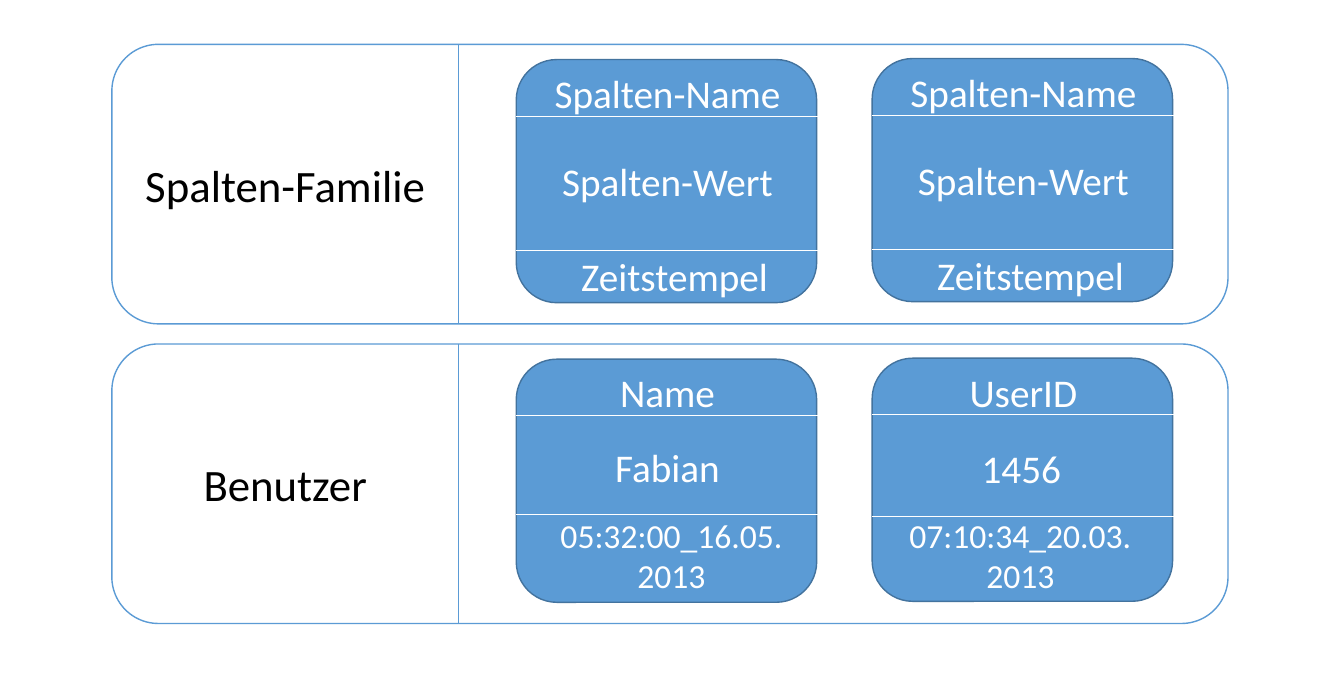
from dataclasses import dataclass
from lxml.etree import SubElement
from pptx import Presentation
from pptx.dml.color import RGBColor
from pptx.enum.shapes import MSO_CONNECTOR, MSO_SHAPE
from pptx.enum.text import MSO_ANCHOR, PP_ALIGN
from pptx.oxml.ns import qn
from pptx.util import Inches, Pt


@dataclass(frozen=True)
class Theme:
    font: str = "Calibri"
    blue: RGBColor = RGBColor(0x5B, 0x9B, 0xD5)
    edge: RGBColor = RGBColor(0x43, 0x73, 0x9E)
    white: RGBColor = RGBColor(0xFF, 0xFF, 0xFF)
    black: RGBColor = RGBColor(0, 0, 0)
    head: int = 32
    body: int = 28
    small: int = 24


theme = Theme()
deck = Presentation()
deck.slide_width, deck.slide_height = Inches(13.33), Inches(6.69)
slide = deck.slides.add_slide(deck.slide_layouts[6])
shapes = slide.shapes


def add_box(area, fill=None, edge=None, text="", size=theme.body, color=theme.white):
    """Add a rounded box if a fill is given, otherwise a centred text box."""
    place = [Inches(v) for v in area]
    if fill is not None:
        box = shapes.add_shape(MSO_SHAPE.ROUNDED_RECTANGLE, *place)
        box.shadow.inherit = False
        box.fill.solid()
        box.fill.fore_color.rgb = fill
        box.line.color.rgb = edge
        box.line.width = Pt(1)
        return
    frame = shapes.add_textbox(*place).text_frame
    frame.word_wrap = True
    frame.vertical_anchor = MSO_ANCHOR.MIDDLE if size == theme.head else MSO_ANCHOR.TOP
    para = frame.paragraphs[0]
    para.text = text
    para.alignment = PP_ALIGN.CENTER
    para.font.name = theme.font
    para.font.size = Pt(size)
    para.font.color.rgb = color


def add_line(x1, y1, x2, y2, color, width):
    ends = [Inches(v) for v in (x1, y1, x2, y2)]
    line = shapes.add_connector(MSO_CONNECTOR.STRAIGHT, *ends)
    line.line.color.rgb = color
    line.line.width = Pt(width)
    SubElement(line._element.spPr, qn("a:effectLst"))


# Each card: left, top, lower rule, then (text, left, top, height, size) per field
rows = [
    ("Spalten-Familie", 0.44, [
        (5.12, 0.59, 2.48, [("Spalten-Name", 5.4, 0.64, 0.57, theme.body),
                            ("Spalten-Wert", 5.4, 1.51, 0.57, theme.body),
                            ("Zeitstempel", 5.47, 2.45, 0.57, theme.body)]),
        (8.65, 0.58, 2.47, [("Spalten-Name", 8.93, 0.63, 0.57, theme.body),
                            ("Spalten-Wert", 8.93, 1.5, 0.57, theme.body),
                            ("Zeitstempel", 9, 2.44, 0.57, theme.body)]),
    ]),
    ("Benutzer", 3.41, [
        (5.12, 3.56, 5.1, [("Name", 5.4, 3.6, 0.57, theme.body),
                           ("Fabian", 5.4, 4.34, 0.57, theme.body),
                           ("05:32:00_16.05.2013", 5.44, 5.05, 0.91, theme.small)]),
        (8.65, 3.55, 5.12, [("UserID", 8.93, 3.6, 0.57, theme.body),
                            ("1456", 8.91, 4.35, 0.57, theme.body),
                            ("07:10:34_20.03.2013", 8.9, 5.05, 0.91, theme.small)]),
    ]),
]

for label, top, cards in rows:
    # Row frame, label and divider
    add_box((1.11, top, 11.07, 2.77), theme.white, theme.blue)
    add_box((1.11, top, 3.44, 2.77), text=label, size=theme.head, color=theme.black)
    add_line(4.55, top, 4.55, top + 2.77, theme.blue, 1)

    # Column cards with two rules and three fields
    for left, y, rule, fields in cards:
        add_box((left, y, 2.98, 2.41), theme.blue, theme.edge)
        for level in (y + 0.56, rule):
            add_line(left, level, left + 3, level, theme.white, 0.5)
        for text, x, start, height, size in fields:
            add_box((x, start, 2.44, height), text=text, size=size)

deck.save("out.pptx")
